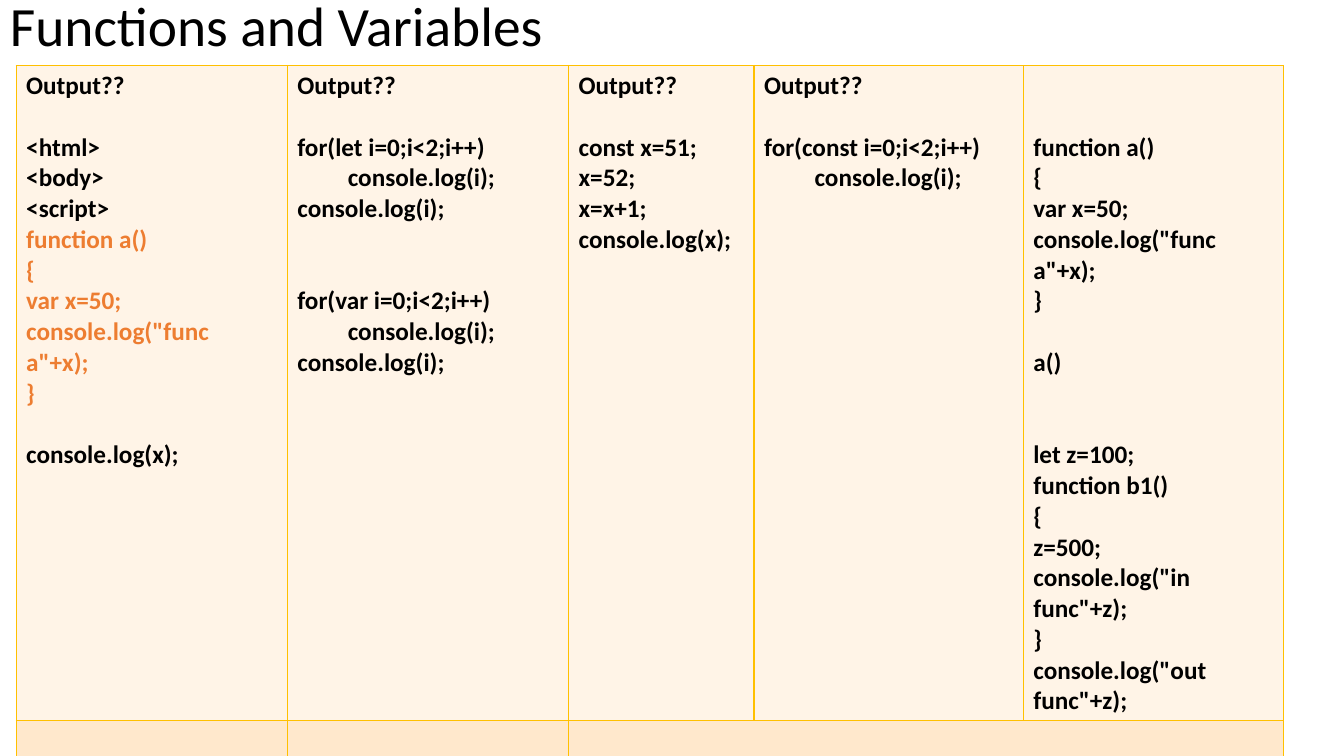
"""Build the Functions and Variables slide: a title over a table of code puzzles."""
import pptx
import pptx.dml.color
import pptx.enum.text
import pptx.oxml
import pptx.oxml.ns
import pptx.util

BLACK = pptx.dml.color.RGBColor(0x00, 0x00, 0x00)
ORANGE = pptx.dml.color.RGBColor(0xED, 0x7D, 0x31)
GOLD = pptx.dml.color.RGBColor(0xFF, 0xC0, 0x00)
ROW_FILLS = [
    pptx.dml.color.RGBColor(0xFF, 0xF4, 0xE7),
    pptx.dml.color.RGBColor(0xFF, 0xE8, 0xCC),
]

prs = pptx.Presentation()
prs.slide_width = pptx.util.Inches(13.33)
prs.slide_height = pptx.util.Inches(7.5)
UNIT = prs.slide_height // 750
LINE = pptx.util.Pt(22)
COL_WIDTHS = [269, 279, 184, 267, 258]
ROW_HEIGHTS = [650, 35]
CODE_FORMAT = {"name": "Calibri", "size": pptx.util.Pt(18), "bold": True}
TITLE_FORMAT = {"name": "Calibri", "size": pptx.util.Pt(39.6), "bold": False}

HTML_SCRIPT = """Output??

<html>
<body>
<script>
function a()
{
var x=50;
console.log("func a"+x);
}

console.log(x);"""
LOOPS = """Output??

for(let i=0;i<2;i++)
\tconsole.log(i);
console.log(i);


for(var i=0;i<2;i++)
\tconsole.log(i);
console.log(i);"""
CONSTANT = """Output??

const x=51;
x=52;
x=x+1;
console.log(x);"""
CONST_LOOP = """Output??

for(const i=0;i<2;i++)
\tconsole.log(i);"""
SCOPES = """

function a()
{
var x=50;
console.log("func a"+x);
}

a()


let z=100;
function b1()
{
z=500;
console.log("in func"+z);
}
console.log("out func"+z);"""
PUZZLES = [HTML_SCRIPT, LOOPS, CONSTANT, CONST_LOOP, SCOPES]
ORANGE_LINES = range(5, 10)


def write(p, text, formats, color):
    r = p.add_run()
    r.text = text
    for name, value in formats.items():
        setattr(r.font, name, value)
    r.font.color.rgb = color


s = prs.slides.add_slide(prs.slide_layouts[6])

sp = s.shapes.add_textbox(0, 0, 1150 * UNIT, 56 * UNIT)
tf = sp.text_frame
tf.word_wrap = True
tf.vertical_anchor = pptx.enum.text.MSO_ANCHOR.MIDDLE
tf.paragraphs[0].line_spacing = 0.9
write(tf.paragraphs[0], "Functions and Variables", TITLE_FORMAT, BLACK)

sp = s.shapes.add_table(
    len(ROW_HEIGHTS), len(COL_WIDTHS), 16 * UNIT, 65 * UNIT,
    sum(COL_WIDTHS) * UNIT, sum(ROW_HEIGHTS) * UNIT)
table = sp.table
table.first_row = table.horz_banding = False
for column, width in zip(table.columns, COL_WIDTHS):
    column.width = width * UNIT
for row, height, fill in zip(table.rows, ROW_HEIGHTS, ROW_FILLS):
    row.height = height * UNIT
    for cell in row.cells:
        cell.fill.solid()
        cell.fill.fore_color.rgb = fill
        for i, side in enumerate(["lnL", "lnR", "lnT", "lnB"]):
            border = pptx.oxml.parse_xml(
                f'<a:{side} {pptx.oxml.ns.nsdecls("a")} w="12700"><a:solidFill>'
                f'<a:srgbClr val="{GOLD}"/></a:solidFill></a:{side}>')
            cell._tc.get_or_add_tcPr().insert(i, border)
table.cell(1, 2).merge(table.cell(1, 4))

for col, puzzle in enumerate(PUZZLES):
    cell = table.cell(0, col)
    tf = cell.text_frame
    p, gap = None, 0
    for i, text in enumerate(puzzle.split("\n")):
        if not text:
            gap += 1
            continue
        if p is None:
            p = tf.paragraphs[0]
            cell.margin_top = 5 * UNIT + gap * LINE
        else:
            p = tf.add_paragraph()
            p.space_before = gap * LINE
        gap = 0
        is_orange = puzzle == HTML_SCRIPT and i in ORANGE_LINES
        write(p, text, CODE_FORMAT, ORANGE if is_orange else BLACK)
table.cell(0, 0).margin_right = 15 * UNIT

prs.save("out.pptx")
